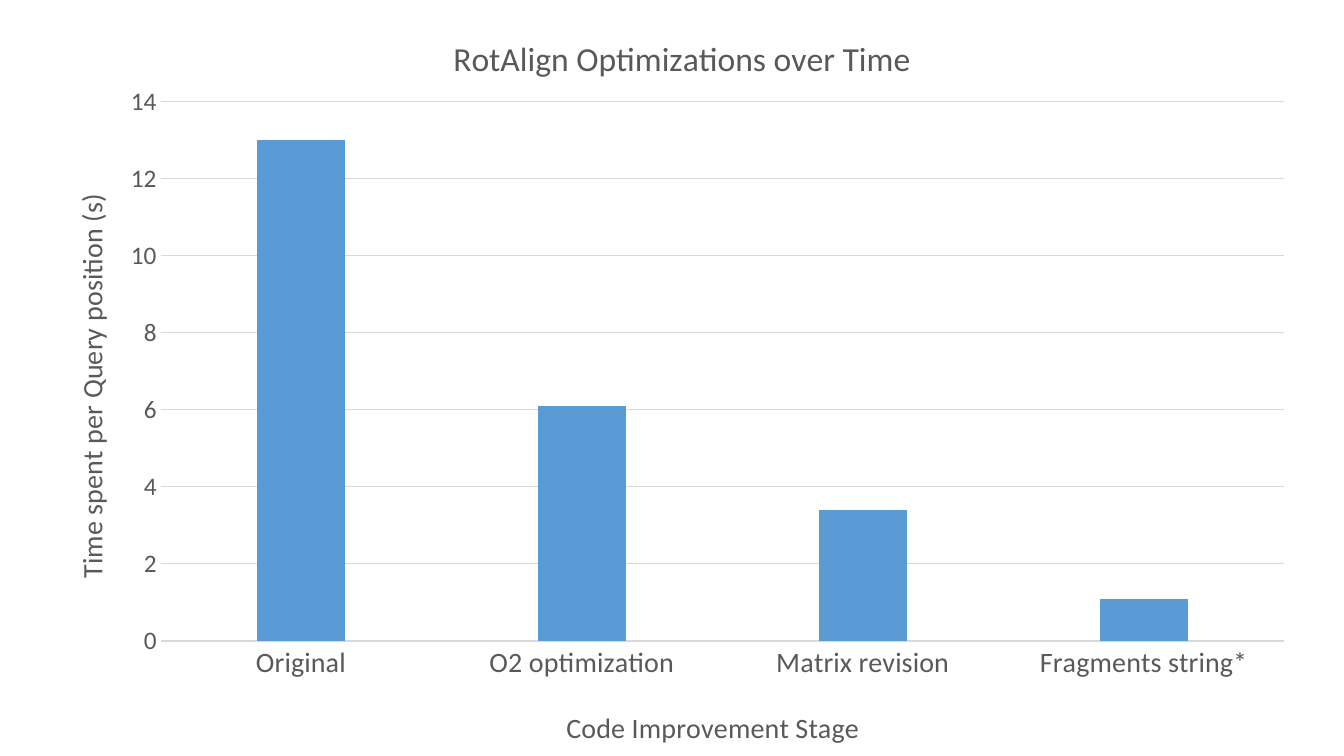
from dataclasses import dataclass

from lxml import etree
from pptx import Presentation
from pptx import util as u
from pptx.chart.data import CategoryChartData
from pptx.dml.color import RGBColor
from pptx.enum import chart as ch
from pptx.oxml.ns import qn


@dataclass(frozen=True)
class Theme:
    face: str = "Calibri"
    ink: str = "595959"
    rule: str = "D9D9D9"
    bar: str = "5B9BD5"
    head: int = 24
    label: int = 20
    tick: int = 18
    hair: float = 0.75


THEME = Theme()
WIDE, HIGH = u.Inches(13.33), u.Inches(7.5)
STAGES = {
    "Original": 13,
    "O2 optimization": 6.1,
    "Matrix revision": 3.4,
    "Fragments string*": 1.1,
}


def set_font(font, size):
    font.name = THEME.face
    font.size = u.Pt(size)
    font.bold = False
    font.color.rgb = RGBColor.from_string(THEME.ink)


def set_rule(line):
    line.color.rgb = RGBColor.from_string(THEME.rule)
    line.width = u.Pt(THEME.hair)


def place(node, index, **shares):
    """Pin a chart part at shares of the chart's size."""
    for old in node.findall(qn("c:layout")):
        node.remove(old)
    layout = etree.Element(qn("c:layout"))
    node.insert(index, layout)
    manual = etree.SubElement(layout, qn("c:manualLayout"))
    if "w" in shares:
        etree.SubElement(manual, qn("c:layoutTarget")).set("val", "inner")
    for mode in ("xMode", "yMode"):
        etree.SubElement(manual, qn("c:" + mode)).set("val", "edge")
    for key, share in shares.items():
        etree.SubElement(manual, qn("c:" + key)).set("val", str(share))


def add_title(title, words, size, x, y):
    frame = title.text_frame
    frame.text = words
    set_font(frame.paragraphs[0].font, size)
    place(title._element, 1, x=x, y=y)


def style_axis(axis, size):
    axis.major_tick_mark = axis.minor_tick_mark = ch.XL_TICK_MARK.NONE
    set_font(axis.tick_labels.font, size)


def add_bars(slide):
    data = CategoryChartData()
    data.categories = list(STAGES)
    data.add_series("Series 1", list(STAGES.values()))
    chart = slide.shapes.add_chart(
        ch.XL_CHART_TYPE.COLUMN_CLUSTERED,
        u.Inches(0.41), 0, u.Inches(12.58), HIGH, data).chart
    chart.has_legend = False
    chart.font.name = THEME.face

    # Bars
    plot = chart.plots[0]
    plot.gap_width, plot.overlap = 219, -27
    plot.vary_by_categories = False
    fill = plot.series[0].format.fill
    fill.solid()
    fill.fore_color.rgb = RGBColor.from_string(THEME.bar)
    area = chart._chartSpace.chart.plotArea
    place(area, 0, x=0.094, y=0.134, w=0.886, h=0.714)
    return chart


def main():
    deck = Presentation()
    deck.slide_width, deck.slide_height = WIDE, HIGH
    slide = deck.slides.add_slide(deck.slide_layouts[6])
    chart = add_bars(slide)

    # Axes
    stage, time = chart.category_axis, chart.value_axis
    style_axis(stage, THEME.label)
    set_rule(stage.format.line)
    style_axis(time, THEME.tick)
    time.format.line.fill.background()
    time.minimum_scale, time.maximum_scale, time.major_unit = 0, 14, 2
    time.has_major_gridlines = True
    set_rule(time.major_gridlines.format.line)

    # Titles
    add_title(chart.chart_title, "RotAlign Optimizations over Time",
              THEME.head, 0.32, 0.04)
    add_title(stage.axis_title, "Code Improvement Stage",
              THEME.label, 0.41, 0.93)
    add_title(time.axis_title, "Time spent per Query position (s)",
              THEME.label, 0.02, 0.25)

    deck.save("out.pptx")


if __name__ == "__main__":
    main()
